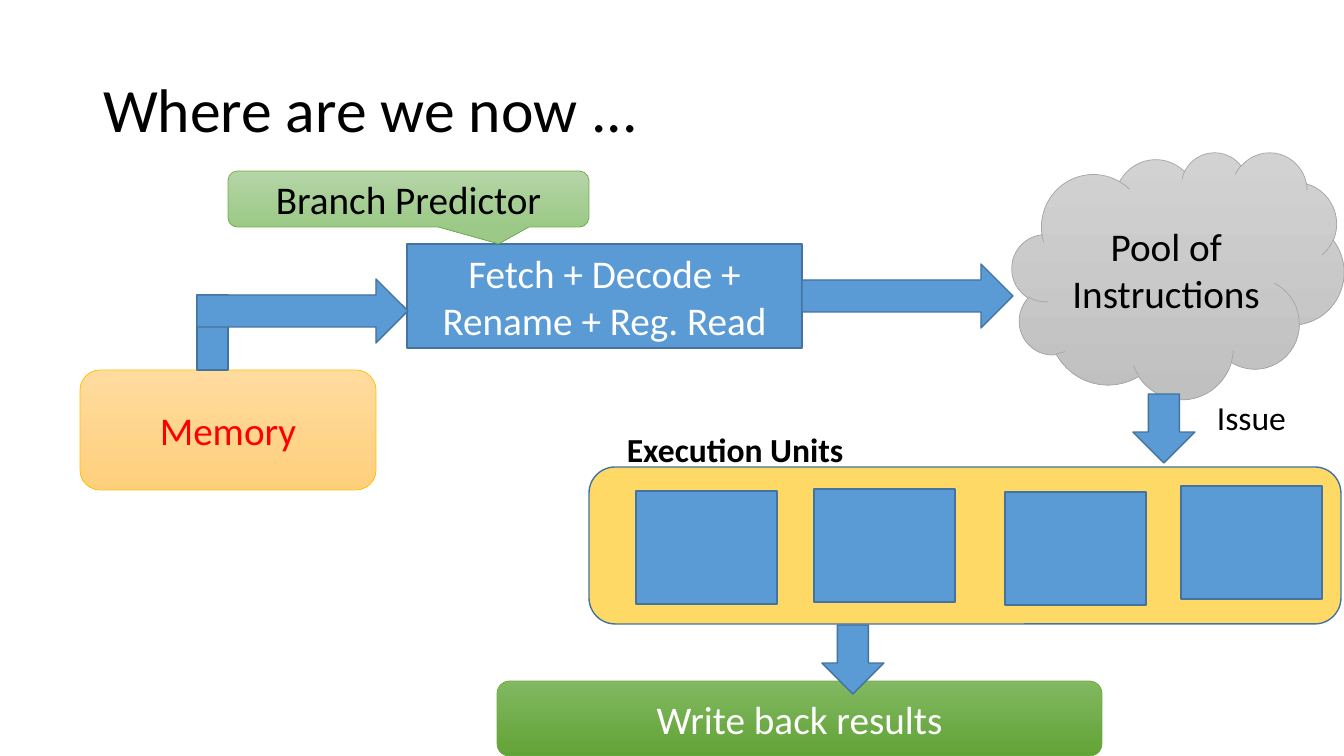
from pptx import Presentation
from pptx.dml.color import RGBColor
from pptx.enum.shapes import MSO_SHAPE
from pptx.enum.text import MSO_ANCHOR, MSO_AUTO_SIZE, PP_ALIGN
from pptx.util import Pt

PX = 914400 / 100.8  # EMU in one px
RECT, ROUND, CLOUD = MSO_SHAPE.RECTANGLE, MSO_SHAPE.ROUNDED_RECTANGLE, MSO_SHAPE.CLOUD
CALLOUT = MSO_SHAPE.ROUNDED_RECTANGULAR_CALLOUT
RIGHT, DOWN = MSO_SHAPE.RIGHT_ARROW, MSO_SHAPE.DOWN_ARROW
MIDDLE, LEFT, CENTER = MSO_ANCHOR.MIDDLE, PP_ALIGN.LEFT, PP_ALIGN.CENTER
NO_FIT, GROW = MSO_AUTO_SIZE.NONE, MSO_AUTO_SIZE.SHAPE_TO_FIT_TEXT

# Fills hold one colour, or two for a gradient from top to bottom
THEME = {
    "font": "Calibri", "title": 44, "body": 28, "label": 24,
    "black": "000000", "white": "FFFFFF", "red": "FF0000",
    "blue": (["5B9BD5"], "43739E", 1),
    "yellow": (["FFD966"], "43739E", 1),
    "orange": (["FFDB9E", "FFD07C"], "FFC000", 0.5),
    "gray": (["D2D2D2", "C0C0C0"], "A5A5A5", 0.5),
    "green": (["81B861", "62A336"], "70AD47", 0.5),
    "light green": (["B5D5A7", "9CC987"], "70AD47", 0.5),
}


def write(shape, text, size, color, align, bold=False):
    para = shape.text_frame.paragraphs[0]
    para.text = text
    para.alignment = align
    para.font.name = THEME["font"]
    para.font.size = Pt(THEME[size])
    para.font.bold = bold
    para.font.color.rgb = RGBColor.from_string(THEME[color])
    return para


def add_box(kind, place, style, text="", color="white"):
    box = slide.shapes.add_shape(kind, *[round(v * PX) for v in place])
    box.shadow.inherit = False
    fills, line, width = THEME[style]
    if len(fills) == 1:
        box.fill.solid()
        box.fill.fore_color.rgb = RGBColor.from_string(fills[0])
    else:
        box.fill.gradient()
        box.fill.gradient_angle = 270
        for stop, fill in zip(box.fill.gradient_stops, fills):
            stop.color.rgb = RGBColor.from_string(fill)
    box.line.color.rgb = RGBColor.from_string(line)
    box.line.width = Pt(width)
    if text:
        box.text_frame.word_wrap = True
        box.text_frame.vertical_anchor = MIDDLE
        write(box, text, "body", color, CENTER)
    return box


deck = Presentation()
deck.slide_width, deck.slide_height = round(1344 * PX), round(756 * PX)
slide = deck.slides.add_slide(deck.slide_layouts[5])

# Title
title = slide.shapes.title
title.left, title.top, title.width, title.height = [round(v * PX) for v in (93, 40, 1159, 146)]
title.text_frame.vertical_anchor = MIDDLE
title.text_frame.auto_size = NO_FIT
write(title, "Where are we now ...", "title", "black", LEFT).line_spacing = 0.9

# Front end: memory feeds fetch, which fills the pool
add_box(RECT, (407, 244, 395, 104), "blue", "Fetch + Decode + Rename + Reg. Read")
add_box(ROUND, (80, 370, 296, 120), "orange", "Memory", "red")
add_box(RECT, (197, 295, 31, 75), "blue")
for left, top in ((197, 279), (802, 264)):
    add_box(RIGHT, (left, top, 211, 64), "blue")
add_box(CLOUD, (1012, 152, 332, 247), "gray", "Pool of Instructions", "black")
predictor = add_box(CALLOUT, (228, 171, 361, 56), "light green", "Branch Predictor", "black")
for index, value in enumerate((0.25, 0.8, 0.17)):
    predictor.adjustments[index] = value

# Execution units
add_box(ROUND, (589, 467, 752, 157), "yellow")
for left, top in ((636, 491), (814, 489), (1005, 492), (1181, 486)):
    add_box(RECT, (left, top, 141, 113), "blue")

# Write back, and the arrows into and out of the execution units
add_box(ROUND, (497, 681, 605, 75), "green", "Write back results")
for left, top in ((1133, 394), (822, 625)):
    add_box(DOWN, (left, top, 62, 69), "blue")

# Labels
for text, place, bold in (
    ("Execution Units", (617, 424, 239, 50), True),
    ("Issue", (1207, 392, 90, 50), False),
):
    label = slide.shapes.add_textbox(*[round(v * PX) for v in place])
    label.text_frame.word_wrap = False
    label.text_frame.auto_size = GROW
    write(label, text, "label", "black", LEFT, bold)

deck.save("out.pptx")
